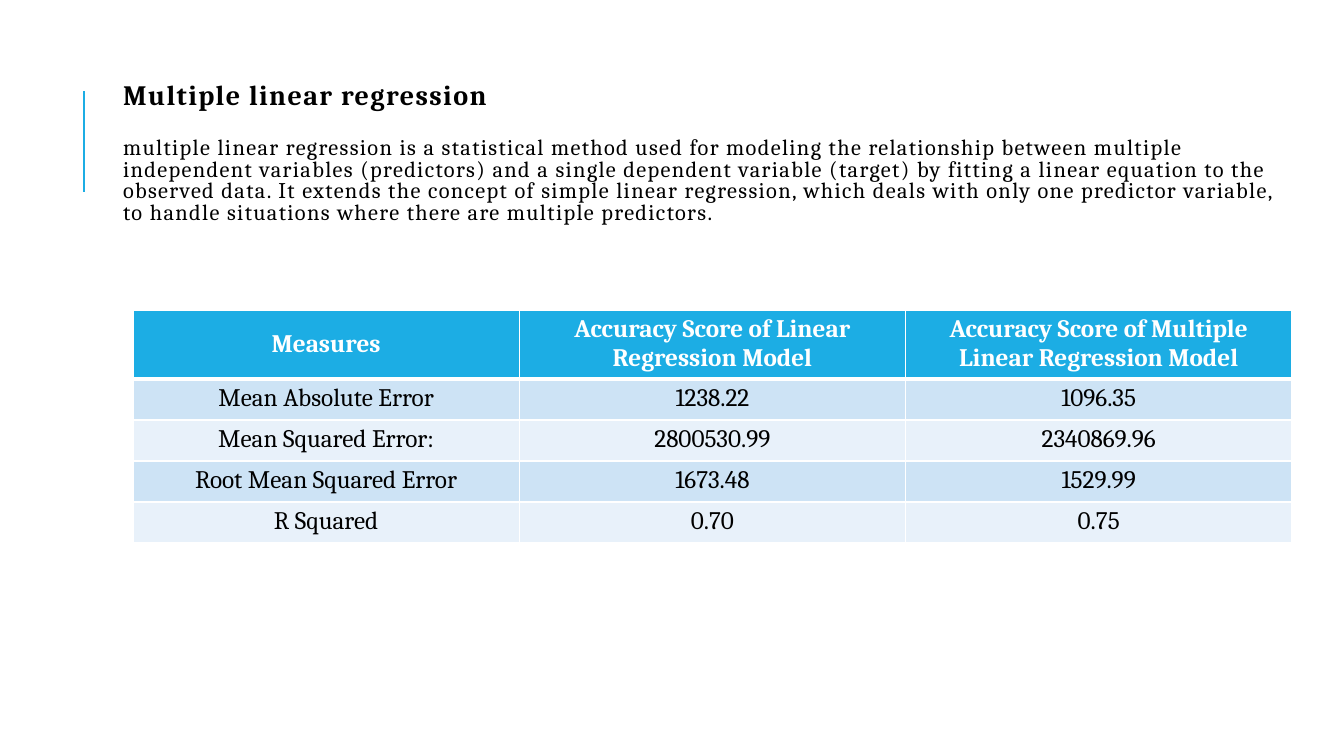
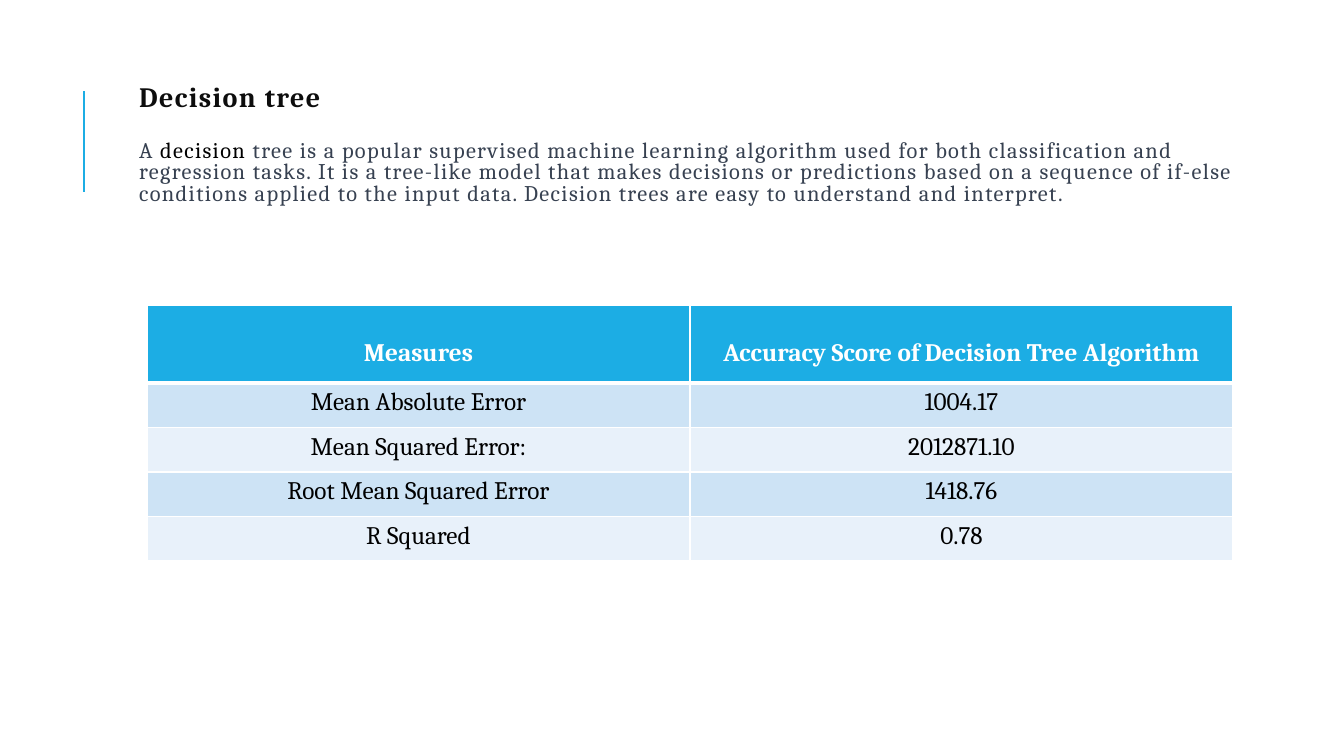
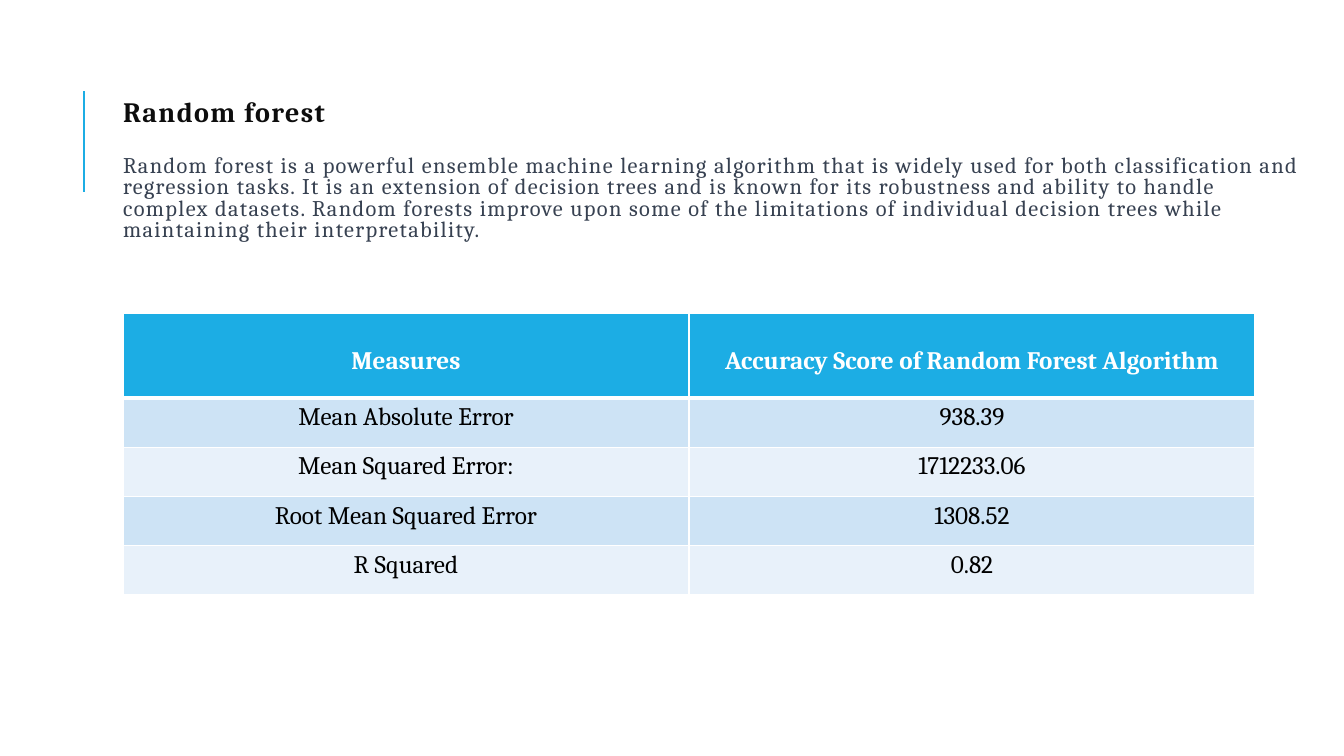
from dataclasses import dataclass

from lxml.etree import SubElement
from pptx import Presentation
from pptx.dml.color import RGBColor as Rgb
from pptx.enum.shapes import MSO_CONNECTOR as Link
from pptx.enum.text import MSO_ANCHOR as Anchor
from pptx.enum.text import MSO_AUTO_SIZE as Fit
from pptx.enum.text import PP_ALIGN as Align
from pptx.oxml.ns import qn
from pptx.util import Emu, Pt

SCALE = 914400 / 100.8
FONT = "Cambria"
HUES = {
    "blue": "1CADE4",
    "white": "FFFFFF",
    "black": "000000",
    "ink": "0D0D0D",
    "slate": "374151",
    "dark": "CDE3F5",
    "light": "E8F1FA",
}
NAMES = (
    "Mean Absolute Error",
    "Mean Squared Error:",
    "Root Mean Squared Error",
    "R Squared",
)


@dataclass(frozen=True)
class Box:
    """A rectangle in px."""
    x: int
    y: int
    w: int
    h: int


@dataclass(frozen=True)
class Span:
    """A stretch of body text in one colour."""
    text: str
    hue: str = "slate"


@dataclass(frozen=True)
class Score:
    """One column of results under its heading."""
    head: str
    vals: tuple[str, ...]
    lead: float = 2


@dataclass(frozen=True)
class Page:
    """A model with its description and its results."""
    name: str
    hue: str
    spans: tuple[Span, ...]
    area: Box
    grid: Box
    top: int
    lead: float
    scores: tuple[Score, ...]


PAGES = (
    Page(
        "Multiple linear regression",
        "black",
        (Span(
            "multiple linear regression is a statistical method used for modeling "
            "the relationship between multiple independent variables (predictors) "
            "and a single dependent variable (target) by fitting a linear equation "
            "to the observed data. It extends the concept of simple linear "
            "regression, which deals with only one predictor variable, to handle "
            "situations where there are multiple predictors.", "black"),),
        Box(113, 78, 1189, 152),
        Box(133, 310, 1159, 233),
        69,
        1.5,
        (
            Score("Accuracy Score of Linear Regression Model",
                  ("1238.22", "2800530.99", "1673.48", "0.70"), 1),
            Score("Accuracy Score of Multiple Linear Regression Model",
                  ("1096.35", "2340869.96", "1529.99", "0.75"), 1),
        ),
    ),
    Page(
        "Decision tree",
        "ink",
        (
            Span("A "),
            Span("decision", "black"),
            Span(
                " tree is a popular supervised machine learning algorithm used for "
                "both classification and regression tasks. It is a tree-like model "
                "that makes decisions or predictions based on a sequence of if-else "
                "conditions applied to the input data. Decision trees are easy to "
                "understand and interpret."),
        ),
        Box(129, 69, 1169, 154),
        Box(147, 305, 1086, 256),
        78,
        2,
        (Score("Accuracy Score of Decision Tree Algorithm",
               ("1004.17", "2012871.10", "1418.76", "0.78")),),
    ),
    Page(
        "Random forest",
        "ink",
        (Span(
            "Random forest is a powerful ensemble machine learning algorithm that "
            "is widely used for both classification and regression tasks. It is an "
            "extension of decision trees and is known for its robustness and "
            "ability to handle complex datasets. Random forests improve upon some "
            "of the limitations of individual decision trees while maintaining "
            "their interpretability."),),
        Box(113, 73, 1206, 197),
        Box(123, 313, 1132, 282),
        85,
        2,
        (Score("Accuracy Score of Random Forest Algorithm",
               ("938.39", "1712233.06", "1308.52", "0.82")),),
    ),
)


def px(n: int) -> Emu:
    """Turn px into EMU."""
    return Emu(round(n * SCALE))


def place(box: Box) -> tuple[Emu, ...]:
    """Give the four lengths of a box in EMU."""
    return px(box.x), px(box.y), px(box.w), px(box.h)


def paint(hue: str) -> Rgb:
    """Look up a colour by name."""
    return Rgb.from_string(HUES[hue])


def write(para, text: str, size: int, hue: str, bold: bool = False,
          space: int = 0) -> None:
    """Add one run, with letter spacing in points."""
    run = para.add_run()
    run.text = text
    font = run.font
    font.name, font.size, font.bold = FONT, Pt(size), bold
    font.color.rgb = paint(hue)
    if space:
        run._r.get_or_add_rPr().set("spc", str(space * 100))


def draw_rule(slide) -> None:
    """Draw the upright line beside the title."""
    line = slide.shapes.add_connector(
        Link.STRAIGHT, px(84), px(192), px(84), px(91))
    line.line.color.rgb = paint("blue")
    line.line.width = Pt(1.5)
    SubElement(line._element.spPr, qn("a:effectLst"))


def draw_title(slide, page: Page) -> None:
    """Fill the title with the model name and its description."""
    title = slide.shapes.title
    title.left, title.top, title.width, title.height = place(page.area)
    frame = title.text_frame
    frame.word_wrap = True
    frame.auto_size = Fit.NONE
    frame.vertical_anchor = Anchor.MIDDLE
    head, body = frame.paragraphs[0], frame.add_paragraph()
    for para in (head, body):
        para.alignment = Align.LEFT
        para.line_spacing = 0.8
    head.space_after = Pt(20)
    write(head, page.name, 20, page.hue, True, 1)
    for span in page.spans:
        write(body, span.text, 16, span.hue, space=1)


def edge(cell, top: int, base: int) -> None:
    """Put white borders round a cell, with top and base widths in points."""
    props = cell._tc.get_or_add_tcPr()
    sides = {"lnL": 1, "lnR": 1, "lnT": top, "lnB": base}
    for at, (side, wide) in enumerate(sides.items()):
        line = SubElement(props, qn(f"a:{side}"), w=str(Pt(wide)))
        fill = SubElement(line, qn("a:solidFill"))
        SubElement(fill, qn("a:srgbClr"), val=HUES["white"])
        props.insert(at, line)


def draw_cell(cell, text: str, row: int, lead: float) -> None:
    """Fill one cell, as a heading in row 0."""
    first = row == 0
    cell.fill.solid()
    cell.fill.fore_color.rgb = paint(
        "blue" if first else "dark" if row % 2 else "light")
    edge(cell, 3 if row == 1 else 1, 3 if first else 1)
    para = cell.text_frame.paragraphs[0]
    para.alignment = Align.CENTER
    if first:
        para.line_spacing = float(lead)
    write(para, text, 18, "white" if first else "black", first)


def draw_table(slide, page: Page) -> None:
    """Draw the measures beside the scores."""
    cols = (Score("Measures", NAMES, page.lead), *page.scores)
    count = len(NAMES)
    table = slide.shapes.add_table(
        count + 1, len(cols), *place(page.grid)).table
    for row in table.rows:
        row.height = px(page.grid.h - page.top) // count
    table.rows[0].height = px(page.top)
    for c, col in enumerate(cols):
        table.columns[c].width = px(page.grid.w) // len(cols)
        for r, text in enumerate((col.head, *col.vals)):
            draw_cell(table.cell(r, c), text, r, col.lead)


def main() -> None:
    """Build the deck and save it."""
    deck = Presentation()
    deck.slide_width, deck.slide_height = px(1344), px(756)
    for page in PAGES:
        slide = deck.slides.add_slide(deck.slide_layouts[5])
        draw_rule(slide)
        draw_title(slide, page)
        draw_table(slide, page)
    deck.save("out.pptx")


if __name__ == "__main__":
    main()
